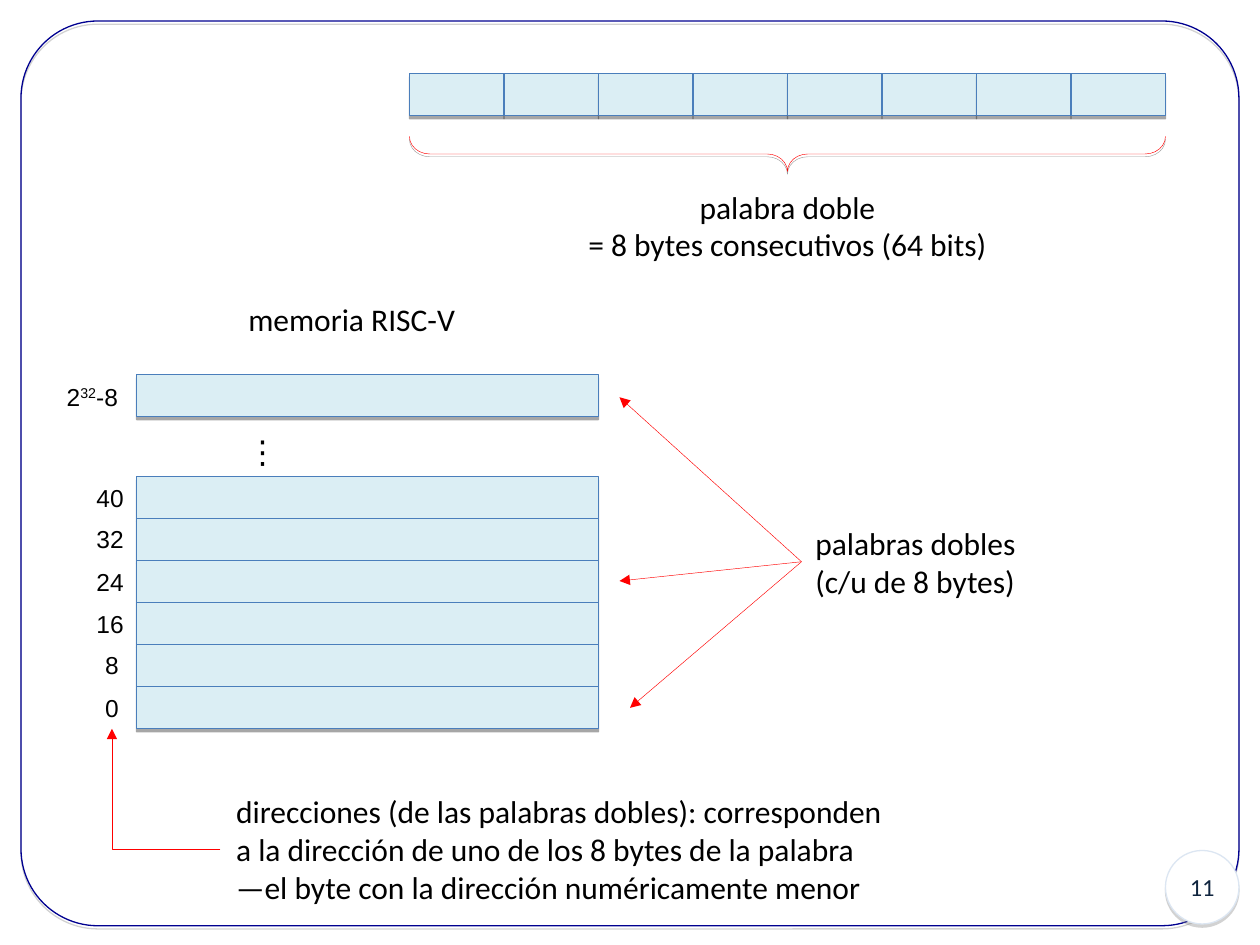
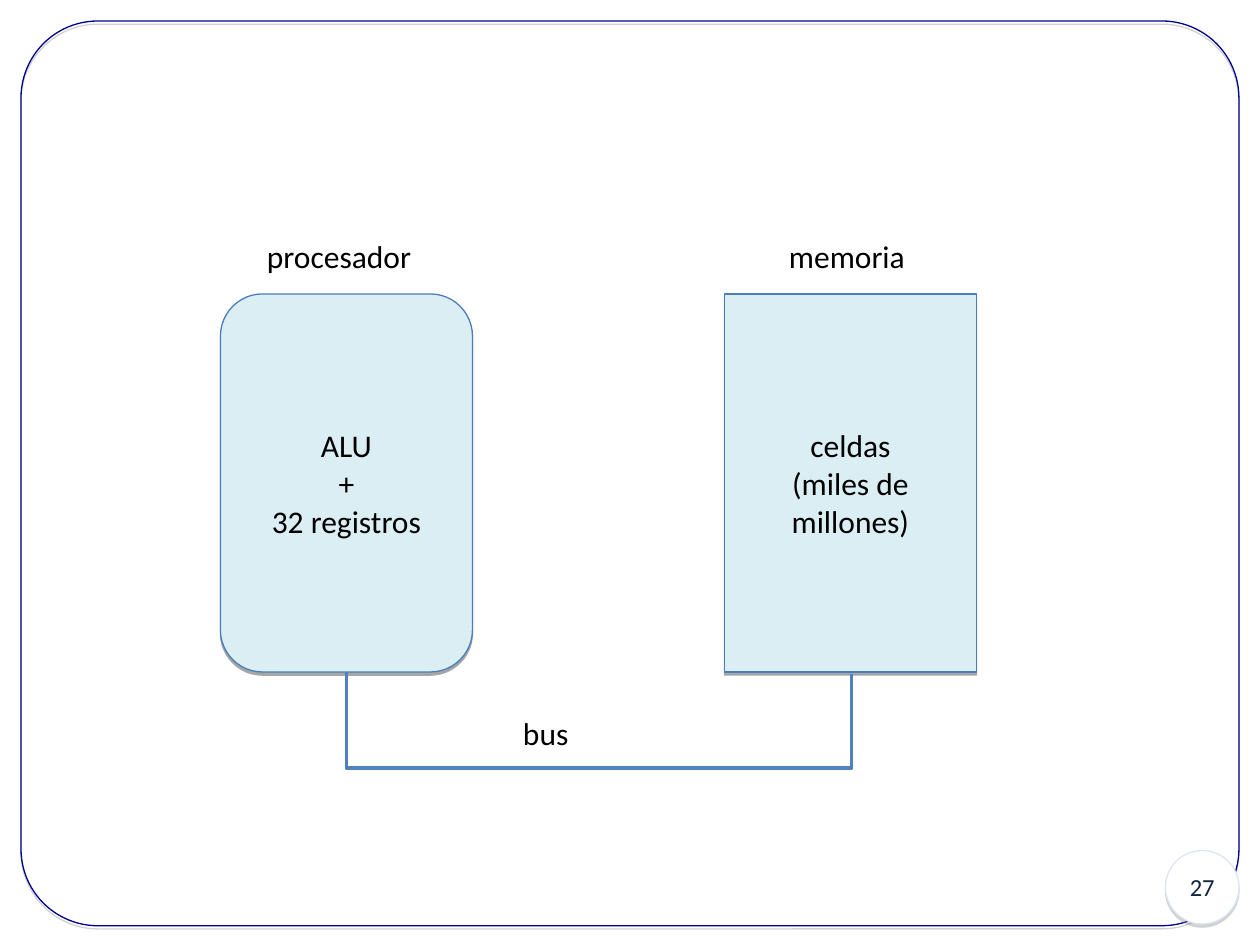
from dataclasses import dataclass
from typing import NamedTuple, Optional

import pptx
import pptx.dml.color
import pptx.enum.shapes
import pptx.enum.text
import pptx.oxml
import pptx.oxml.ns
import pptx.util
from lxml import etree

Pt = pptx.util.Pt
RGB = pptx.dml.color.RGBColor.from_string
SHAPE = pptx.enum.shapes.MSO_SHAPE
CONNECTOR = pptx.enum.shapes.MSO_CONNECTOR
ALIGN = pptx.enum.text.PP_ALIGN
ANCHOR = pptx.enum.text.MSO_ANCHOR
AUTO_SIZE = pptx.enum.text.MSO_AUTO_SIZE
qn = pptx.oxml.ns.qn


@dataclass(frozen=True)
class Theme:
    text: str = "000000"
    cell_fill: str = "DBEEF4"
    cell_line: str = "4A7EBB"
    bus: str = "4F81BD"
    mark: str = "FF0000"
    frame: str = "000090"
    badge_fill: str = "FFFFFF"
    badge_line: str = "DCE6F2"
    badge_text: str = "10253F"
    soft_shadow: str = "808080"
    shadow: str = "000000"
    body_font: str = "Calibri"
    address_font: str = "Arial"
    body_size: float = 18
    small_size: float = 14
    thin: float = 0.25
    outline: float = 0.75
    thick: float = 2


THEME = Theme()


class Box(NamedTuple):
    """Left, top, width and height in points."""
    left: float
    top: float
    width: float
    height: float

    def lengths(self) -> list:
        return [Pt(value) for value in self]


class Point(NamedTuple):
    x: float
    y: float


@dataclass(frozen=True)
class Label:
    text: str
    box: Box
    align: int = ALIGN.LEFT
    font: str = THEME.body_font
    size: float = THEME.body_size


def write_text(frame, text: str, *, font: str = THEME.body_font,
               size: float = THEME.body_size, color: str = THEME.text,
               align: int = ALIGN.CENTER) -> None:
    """One paragraph per line; text between carets is superscript."""
    for index, line in enumerate(text.split("\n")):
        paragraph = frame.add_paragraph() if index else frame.paragraphs[0]
        paragraph.alignment = align
        for part, piece in enumerate(line.split("^")):
            run = paragraph.add_run()
            run.text = piece
            run.font.name = font
            run.font.size = Pt(size)
            run.font.color.rgb = RGB(color)
            if part % 2:
                run.font._element.set("baseline", "30000")


def add_label(slide, label: Label) -> None:
    frame = slide.shapes.add_textbox(*label.box.lengths()).text_frame
    frame.word_wrap = False
    frame.auto_size = AUTO_SIZE.SHAPE_TO_FIT_TEXT
    write_text(frame, label.text, font=label.font, size=label.size,
               align=label.align)


def cast_shadow(shape, color: str, opacity: int = 35,
                distance: float = 1.8) -> None:
    shape.shadow.inherit = False
    effects = shape._element.spPr.find(qn("a:effectLst"))
    shadow = etree.SubElement(effects, qn("a:outerShdw"), blurRad="0",
                              dist=str(Pt(distance)), dir="5400000",
                              algn="ctr", rotWithShape="0")
    tint = etree.SubElement(shadow, qn("a:srgbClr"), val=color)
    etree.SubElement(tint, qn("a:alpha"), val=str(opacity * 1000))


def add_outline(slide, kind: int, box: Box, *,
                fill: Optional[str] = THEME.cell_fill,
                line: str = THEME.cell_line, width: float = THEME.outline):
    shape = slide.shapes.add_shape(kind, *box.lengths())
    if fill:
        shape.fill.solid()
        shape.fill.fore_color.rgb = RGB(fill)
    else:
        shape.fill.background()
    shape.line.color.rgb = RGB(line)
    shape.line.width = Pt(width)
    shape.text_frame.vertical_anchor = ANCHOR.MIDDLE
    return shape


def add_cell(slide, box: Box, kind: int = SHAPE.RECTANGLE, text: str = "") -> None:
    cell = add_outline(slide, kind, box)
    cast_shadow(cell, THEME.shadow)
    if text:
        write_text(cell.text_frame, text)


def add_link(slide, kind: int, start: Point, end: Point, *,
             color: str = THEME.mark, width: float = THEME.thin,
             arrow: bool = True):
    link = slide.shapes.add_connector(kind, *map(Pt, (*start, *end)))
    link.line.color.rgb = RGB(color)
    link.line.width = Pt(width)
    if arrow:
        etree.SubElement(link.line._get_or_add_ln(), qn("a:tailEnd"),
                         type="triangle")
    etree.SubElement(link._element.spPr, qn("a:effectLst"))
    return link


def add_corner_arrow(slide, start: Point, end: Point) -> None:
    """Arrow with a single bend: across first, then up or down."""
    arrow = add_link(slide, CONNECTOR.ELBOW, start, end)
    arrow._element.spPr.find(qn("a:prstGeom")).set("prst", "bentConnector2")


def add_bus(slide, start: Point, end_x: float, depth: float) -> None:
    """U-shaped link, drawn as a turned elbow one point wide."""
    middle = Point((start.x + end_x) / 2, start.y + 0.5)
    half = (end_x - start.x) / 2
    bus = add_link(slide, CONNECTOR.ELBOW,
                   Point(middle.x - 0.5, middle.y - half),
                   Point(middle.x + 0.5, middle.y + half),
                   color=THEME.bus, width=THEME.thick, arrow=False)
    properties = bus._element.spPr
    turn = properties.find(qn("a:xfrm"))
    turn.set("rot", str(270 * 60000))
    turn.set("flipH", "1")
    guides = properties.find(qn("a:prstGeom")).get_or_add_avLst()
    etree.SubElement(guides, qn("a:gd"), name="adj1",
                     fmla=f"val {round(depth * 100000)}")


def add_brace(slide, box: Box) -> None:
    """Brace below a row, with its tip pointing down."""
    upright = Box(box.left + (box.width - box.height) / 2,
                  box.top + (box.height - box.width) / 2,
                  box.height, box.width)
    brace = add_outline(slide, SHAPE.LEFT_BRACE, upright, fill=None,
                        line=THEME.mark, width=THEME.thin)
    brace.rotation = 270
    brace.adjustments[0] = 0.58
    cast_shadow(brace, THEME.shadow, opacity=38, distance=1.6)


def add_framed_slide(deck, number: int):
    slide = deck.slides.add_slide(deck.slide_layouts.get_by_name("Blank"))
    border = add_outline(slide, SHAPE.ROUNDED_RECTANGLE, Box(12, 12, 696, 517),
                         fill=None, line=THEME.frame)
    border.adjustments[0] = 0.085
    badge = add_outline(slide, SHAPE.OVAL, Box(666, 486, 42, 42),
                        fill=THEME.badge_fill, line=THEME.badge_line)
    write_text(badge.text_frame, str(number), size=THEME.small_size,
               color=THEME.badge_text)
    for part in (border, badge):
        cast_shadow(part, THEME.soft_shadow)
    return slide


def build_memory_words(deck) -> None:
    slide = add_framed_slide(deck, 11)

    byte_width, row_height = 54, 24
    for index in range(8):
        add_cell(slide, Box(234 + index * byte_width, 42, byte_width, row_height))
    add_brace(slide, Box(234, 78, 8 * byte_width, 20))

    rows_left, rows_top, row_width = 78, 272.4, 264
    for index, address in enumerate((40, 32, 24, 16, 8, 0)):
        top = rows_top + index * row_height
        add_cell(slide, Box(rows_left, top, row_width, row_height))
        left, width = (48, 32) if address >= 10 else (53, 24)
        add_label(slide, Label(str(address), Box(left, top - 0.2, width, 24.2),
                               font=THEME.address_font, size=THEME.small_size))
    add_cell(slide, Box(rows_left, 214, row_width, row_height))

    for label in (
        Label("2^32^-8", Box(31, 214.5, 46, 24.2),
              font=THEME.address_font, size=THEME.small_size),
        Label("⋮", Box(134, 243.5, 32, 29), font=THEME.address_font),
        Label("palabra doble\n= 8 bytes consecutivos (64 bits)",
              Box(327.5, 103.7, 245, 50.5), align=ALIGN.CENTER),
        Label("memoria RISC-V", Box(134.8, 168, 135, 29)),
        Label("palabras dobles\n(c/u de 8 bytes)", Box(458.8, 296, 131, 50.5)),
        Label("direcciones (de las palabras dobles): corresponden\n"
              "a la dirección de uno de los 8 bytes de la palabra\n"
              "—el byte con la dirección numéricamente menor",
              Box(127.8, 449.3, 387, 72)),
    ):
        add_label(slide, label)

    for target in (Point(360, 404.5), Point(354, 227), Point(354, 332)):
        add_link(slide, CONNECTOR.STRAIGHT, Point(458, 321), target)
    add_corner_arrow(slide, Point(126, 485.5), Point(64, 416.5))


def build_processor_and_memory(deck) -> None:
    slide = add_framed_slide(deck, 27)
    processor, memory = Box(126, 168, 144, 216), Box(414, 168, 144, 216)
    add_cell(slide, memory, text="celdas\n(miles de\nmillones)")
    add_cell(slide, processor, SHAPE.ROUNDED_RECTANGLE, "ALU\n+\n32 registros")
    add_bus(slide, Point(processor.left + processor.width / 2,
                         processor.top + processor.height),
            memory.left + memory.width / 2 + 0.6, depth=55.4)
    for label in (Label("procesador", Box(145.5, 132, 100, 29)),
                  Label("memoria", Box(443.8, 132, 83, 29)),
                  Label("bus", Box(291.8, 404.5, 44, 29))):
        add_label(slide, label)


def main() -> None:
    deck = pptx.Presentation()
    deck.slide_width, deck.slide_height = Pt(720), Pt(540)
    build_memory_words(deck)
    build_processor_and_memory(deck)
    deck.save("out.pptx")


if __name__ == "__main__":
    main()
